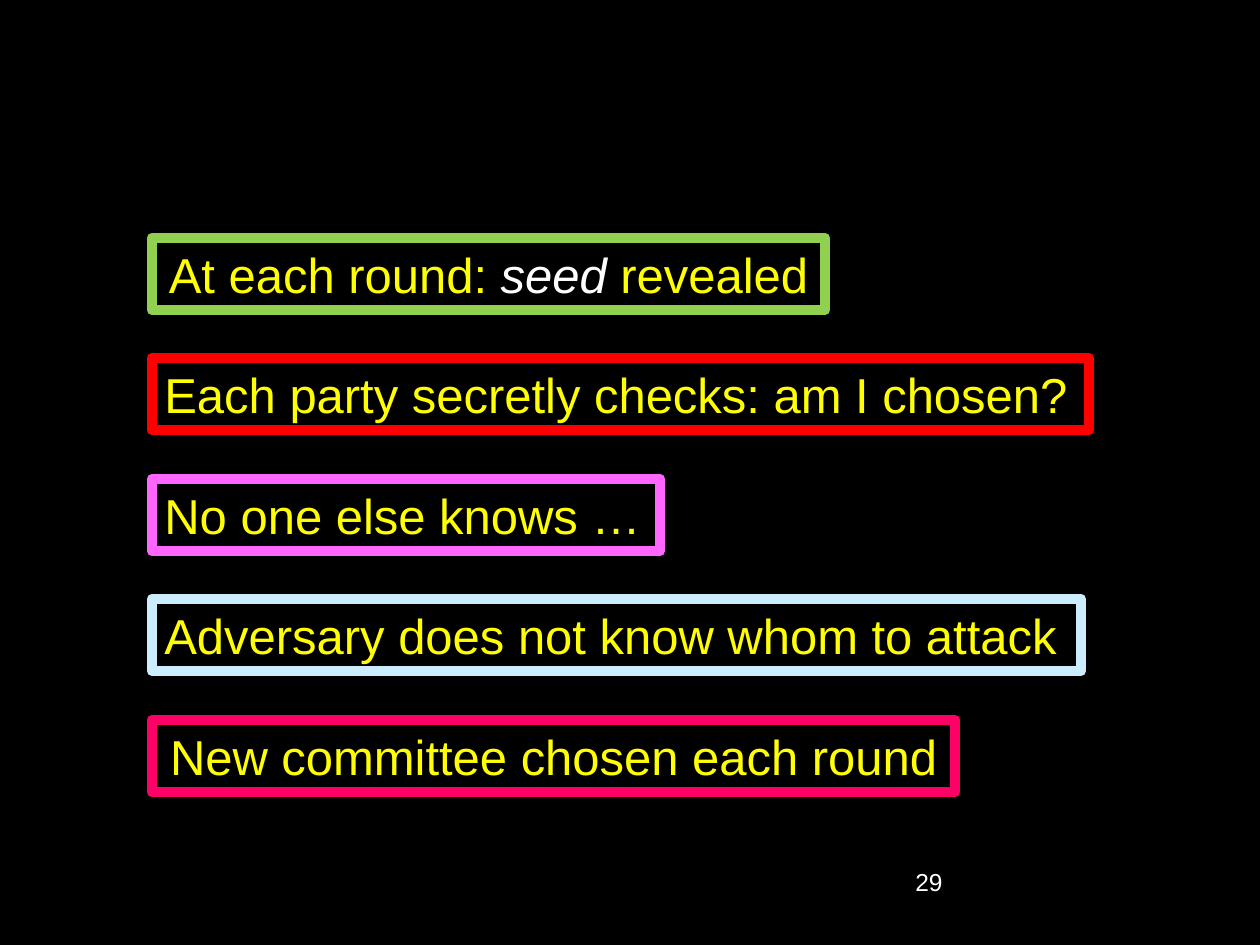
from dataclasses import dataclass

from pptx import Presentation
from pptx.dml.color import RGBColor
from pptx.enum.shapes import MSO_SHAPE
from pptx.enum.text import MSO_ANCHOR, MSO_AUTO_SIZE, PP_ALIGN
from pptx.util import Emu, Pt


@dataclass(frozen=True)
class Theme:
    font: str = "Arial"
    background: str = "000000"
    statement: str = "FFFF00"
    highlight: str = "FFFFFF"
    round_border: str = "92D050"
    check_border: str = "FF0000"
    secret_border: str = "FF66FF"
    adversary_border: str = "CCECFF"
    committee_border: str = "FF0066"
    statement_size: int = 28
    number_size: int = 14
    border_width: int = 6


THEME = Theme()
EMU_PER_PX = 914400 / 126
STATEMENT_LEFT = 152
STATEMENT_HEIGHT = 72
FIRST_TOP = 238
LAST_TOP = 720

STATEMENTS = [
    (673, THEME.round_border, PP_ALIGN.CENTER,
     [("At each round: ", False), ("seed", True), (" revealed", False)]),
    (937, THEME.check_border, PP_ALIGN.LEFT,
     [("Each party secretly checks: am I chosen?", False)]),
    (508, THEME.secret_border, PP_ALIGN.LEFT,
     [("No one else knows …", False)]),
    (929, THEME.adversary_border, PP_ALIGN.LEFT,
     [("Adversary does not know whom to attack", False)]),
    (803, THEME.committee_border, PP_ALIGN.CENTER,
     [("New committee chosen each round", False)]),
]


def px(length):
    return Emu(round(length * EMU_PER_PX))


def rgb(color):
    return RGBColor.from_string(color)


def add_text(paragraph, text, *, size, color, italic=False):
    run = paragraph.add_run()
    run.text = text
    run.font.name = THEME.font
    run.font.size = Pt(size)
    run.font.italic = italic
    run.font.color.rgb = rgb(color)


def add_statement(slide, top, width, border, alignment, parts):
    statement = slide.shapes.add_shape(
        MSO_SHAPE.RECTANGLE, px(STATEMENT_LEFT), px(top), px(width), px(STATEMENT_HEIGHT))
    statement.shadow.inherit = False
    statement.fill.solid()
    statement.fill.fore_color.rgb = rgb(THEME.background)
    statement.line.color.rgb = rgb(border)
    statement.line.width = Pt(THEME.border_width)
    frame = statement.text_frame
    frame.word_wrap = False
    frame.auto_size = MSO_AUTO_SIZE.SHAPE_TO_FIT_TEXT
    frame.vertical_anchor = MSO_ANCHOR.TOP
    sentence = frame.paragraphs[0]
    sentence.alignment = alignment
    for text, emphasized in parts:
        add_text(sentence, text, size=THEME.statement_size, italic=emphasized,
                 color=THEME.highlight if emphasized else THEME.statement)


def add_page_number(slide, number):
    frame = slide.shapes.add_textbox(px(903), px(861), px(262), px(63)).text_frame
    frame.word_wrap = True
    add_text(frame.paragraphs[0], number, size=THEME.number_size, color=THEME.highlight)


def main():
    presentation = Presentation()
    presentation.slide_width = px(1260)
    presentation.slide_height = px(945)
    slide = presentation.slides.add_slide(presentation.slide_layouts[6])
    slide.background.fill.solid()
    slide.background.fill.fore_color.rgb = rgb(THEME.background)
    for row, statement in enumerate(STATEMENTS):
        top = FIRST_TOP + row * (LAST_TOP - FIRST_TOP) // (len(STATEMENTS) - 1)
        add_statement(slide, top, *statement)
    add_page_number(slide, "29")
    presentation.save("out.pptx")


if __name__ == "__main__":
    main()
